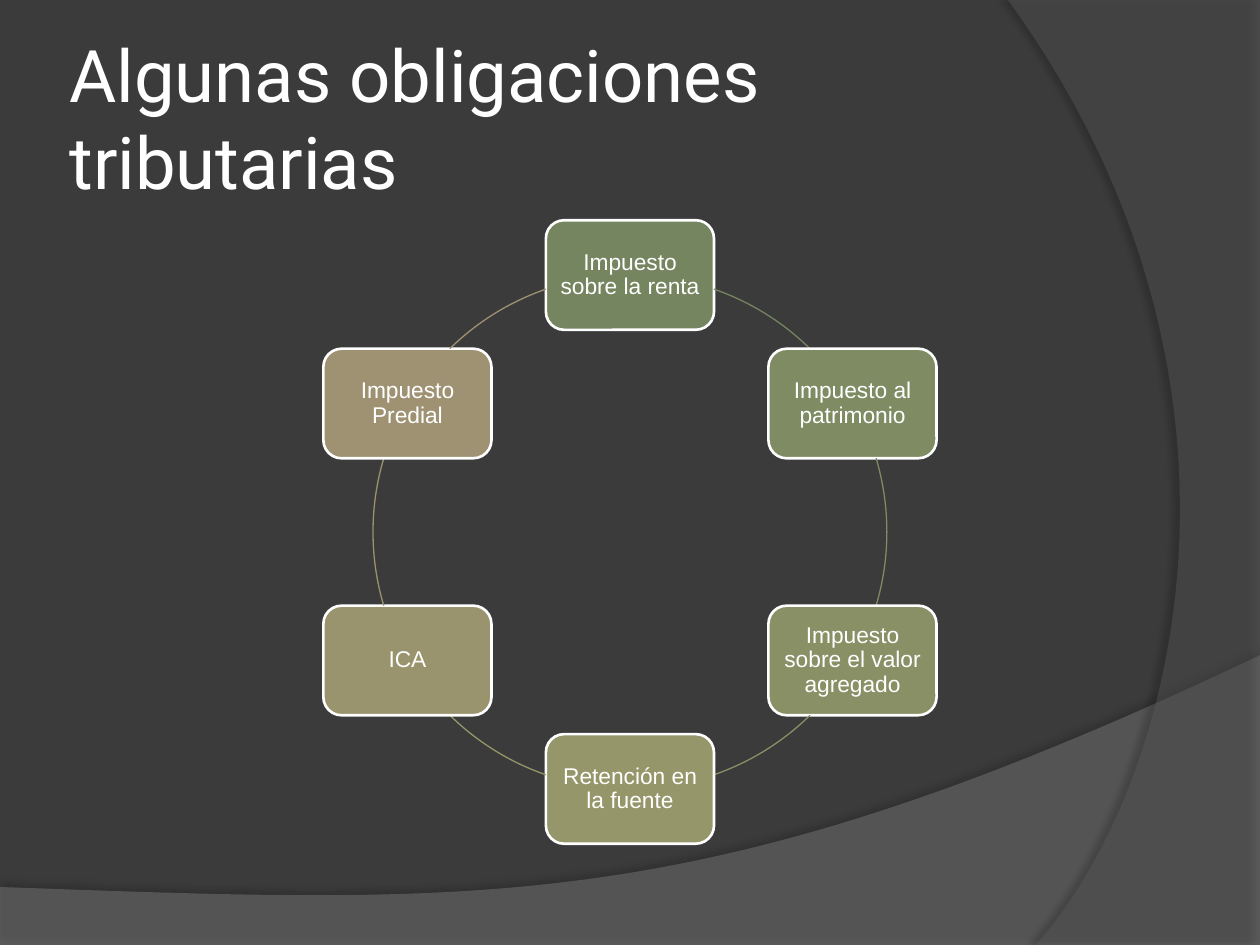
import math
from collections import namedtuple
from dataclasses import dataclass

from lxml import etree
from pptx import Presentation
from pptx import util as u
from pptx.dml.color import RGBColor
from pptx.enum import shapes, text
from pptx.oxml import ns

Box = namedtuple("Box", "left top width height")


@dataclass(frozen=True)
class Theme:
    background: str = "3B3B3B"
    band: str = "7F7F7F"
    side: str = "5E5E5E"
    shadow: str = "000000"
    light: str = "FFFFFF"
    title_font: str = "Roboto"
    node_font: str = "Arial"
    title_size: float = 41.4
    node_size: float = 13
    outline: float = 1.5
    ring_line: float = 0.75


THEME = Theme()

# Clockwise from the top
TAXES = [
    ("Impuesto sobre la renta", "748560"),
    ("Impuesto al patrimonio", "7E8B63"),
    ("Impuesto sobre el valor agregado", "899066"),
    ("Retención en la fuente", "95966A"),
    ("ICA", "9A946E"),
    ("Impuesto Predial", "9E9273"),
]


def to_cm(box):
    return [u.Cm(length) for length in box]


def paint(fill, color):
    fill.solid()
    fill.fore_color.rgb = RGBColor.from_string(color)


def write(shape, content, *, font, size, align=text.PP_ALIGN.LEFT, spacing=1.0):
    frame = shape.text_frame
    frame.word_wrap = True
    frame.vertical_anchor = text.MSO_ANCHOR.MIDDLE
    frame.margin_left = frame.margin_right = u.Cm(0.13)
    frame.margin_top = frame.margin_bottom = u.Cm(0.13)
    para = frame.paragraphs[0]
    para.alignment = align
    para.line_spacing = spacing
    span = para.add_run()
    span.text = content
    span.font.name = font
    span.font.size = u.Pt(size)
    span.font.color.rgb = RGBColor.from_string(THEME.light)


def bezier(start, first, second, end, steps=60):
    """Points along a cubic curve, without its start."""
    points = []
    for step in range(1, steps + 1):
        t = step / steps
        weights = ((1 - t) ** 3, 3 * t * (1 - t) ** 2, 3 * t * t * (1 - t), t ** 3)
        points.append(tuple(
            sum(weight * value for weight, value in zip(weights, axis))
            for axis in zip(start, first, second, end)
        ))
    return points


def add_alpha(color_element, percent):
    etree.SubElement(color_element, ns.qn("a:alpha"), val=str(percent * 1000))


def add_shadow(shape, *, opacity, blur, distance, angle):
    shape.shadow.inherit = False
    effects = shape.element.spPr.find(ns.qn("a:effectLst"))
    shadow = etree.SubElement(
        effects, ns.qn("a:outerShdw"), blurRad=str(u.Pt(blur)),
        dist=str(u.Pt(distance)), dir=str(angle * 60000), rotWithShape="0",
    )
    color = etree.SubElement(shadow, ns.qn("a:srgbClr"), val=THEME.shadow)
    add_alpha(color, opacity)


def curved_panel(page, box, corners, curve, *, color, opacity, shadow):
    """Translucent panel; corners and curve are fractions of the box."""
    outline = corners + bezier(corners[-1], *curve)
    points = [
        (u.Cm(box.left + x * box.width), u.Cm(box.top + y * box.height))
        for x, y in outline
    ]
    builder = page.shapes.build_freeform(*points[0])
    builder.add_line_segments(points[1:], close=True)
    panel = builder.convert_to_shape()
    paint(panel.fill, color)
    add_alpha(panel.element.spPr.find(".//" + ns.qn("a:srgbClr")), opacity)
    panel.line.fill.background()
    add_shadow(panel, **shadow)


def backdrop(page, box):
    paint(page.background.fill, THEME.background)
    band_height, side_width = 5.84, 5.08
    curved_panel(
        page,
        Box(box.left, box.top + box.height - band_height, box.width, band_height),
        [(0, 0.8), (0, 1), (1, 1), (1, 0)],
        [(0.56, 0.91), (0.39, 0.86), (0, 0.8)],
        color=THEME.band, opacity=45,
        shadow=dict(opacity=35, blur=4, distance=3.5, angle=270),
    )
    curved_panel(
        page,
        Box(box.left + box.width - side_width, box.top, side_width, box.height),
        [(1, 0), (1, 1), (0.11, 1)],
        [(0.68, 0.83), (1.09, 0.4), (0, 0)],
        color=THEME.side, opacity=40,
        shadow=dict(opacity=45, blur=4, distance=4, angle=180),
    )


def title(page, box, content):
    write(page.shapes.add_textbox(*to_cm(box)), content,
          font=THEME.title_font, size=THEME.title_size)


def node(page, box, content, color):
    shape = page.shapes.add_shape(
        shapes.MSO_SHAPE.ROUNDED_RECTANGLE, *to_cm(box))
    shape.shadow.inherit = False
    paint(shape.fill, color)
    paint(shape.line.fill, THEME.light)
    shape.line.width = u.Pt(THEME.outline)
    write(shape, content, font=THEME.node_font, size=THEME.node_size,
          align=text.PP_ALIGN.CENTER, spacing=0.9)


def ring_arc(page, box, start, end, color):
    arc = page.shapes.add_shape(shapes.MSO_SHAPE.ARC, *to_cm(box))
    arc.shadow.inherit = False
    arc.fill.background()
    paint(arc.line.fill, color)
    arc.line.width = u.Pt(THEME.ring_line)
    for index, degrees in enumerate((start, end)):
        arc.adjustments[index] = degrees % 360 * 0.6


def tax_cycle(page, box, taxes):
    """Six nodes on a circle, with an arc in each gap between them."""
    width, height = 3.39, 2.21
    radius = (box.height - height) / 2
    center_x = box.left + box.width / 2
    center_y = box.top + box.height / 2
    circle = Box(center_x - radius, center_y - radius, 2 * radius, 2 * radius)

    # Angles at which the circle meets the edges of the nodes
    steep = math.degrees(math.acos(width / 2 / radius))
    shoulder = math.degrees(math.asin(0.5 + height / 2 / radius))
    side = math.degrees(math.asin(0.5 - height / 2 / radius))
    gaps = [(-steep, -shoulder), (-side, side), (shoulder, steep)]
    gaps += [(start + 180, end + 180) for start, end in gaps]

    for index, ((name, color), gap) in enumerate(zip(taxes, gaps)):
        angle = math.tau * index / len(taxes)
        left = center_x + radius * math.sin(angle) - width / 2
        top = center_y - radius * math.cos(angle) - height / 2
        node(page, Box(left, top, width, height), name, color)
        ring_arc(page, circle, *gap, color)


def main():
    deck = Presentation()
    deck.slide_width, deck.slide_height = u.Cm(25.4), u.Cm(19.05)
    page = deck.slides.add_slide(deck.slide_layouts[6])
    backdrop(page, Box(0, 0, 25.4, 19.05))
    title(page, Box(1.27, 0.76, 20.75, 3.18), "Algunas obligaciones tributarias")
    tax_cycle(page, Box(6.52, 4.44, 12.36, 12.57), TAXES)
    deck.save("out.pptx")


if __name__ == "__main__":
    main()
